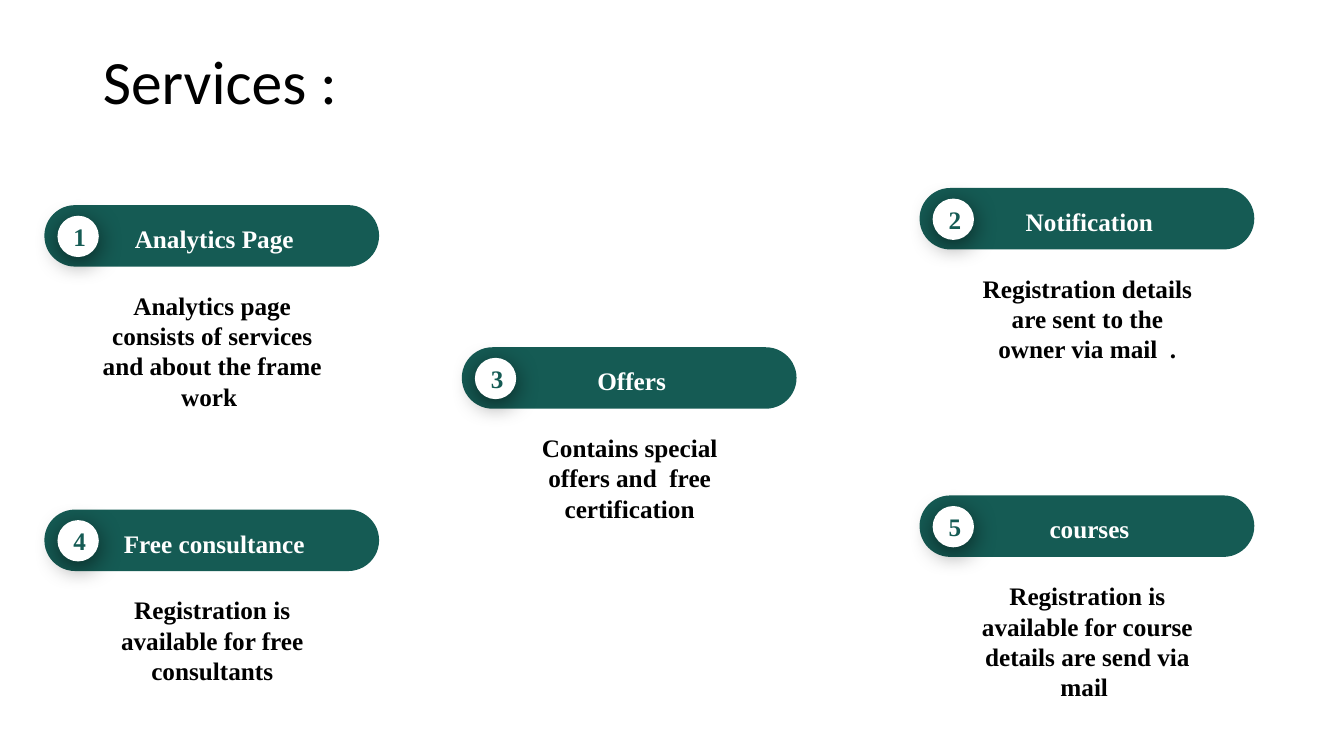
from lxml import etree
from pptx import Presentation
from pptx import util as u
from pptx.dml.color import RGBColor
from pptx.enum import shapes, text
from pptx.oxml import ns

TEAL = RGBColor(0x15, 0x5B, 0x54)
WHITE = RGBColor(0xFF, 0xFF, 0xFF)
BLACK = RGBColor(0x00, 0x00, 0x00)

# Number, heading, body and centre of each pill
CARDS = [
    ("1", "Analytics Page", "Analytics page consists of services and about the frame work ", 2.1, 2.34),
    ("4", "Free consultance", "Registration is available for free consultants", 2.1, 5.36),
    ("2", "Notification", "Registration details are sent to the owner via mail  .", 10.78, 2.17),
    ("5", "courses", "Registration is available for course details are send via mail ", 10.78, 5.22),
    ("3", "Offers", "Contains special offers and  free certification", 6.24, 3.75),
]


class Deck:
    head = "Calibri"
    font = "Times New Roman"
    size = u.Pt(18)
    pad = u.Inches(0.1)

    def __init__(self):
        self.prs = Presentation()
        self.prs.slide_width = u.Inches(13.33)
        self.prs.slide_height = u.Inches(7.5)
        self.slide = self.prs.slides.add_slide(self.prs.slide_layouts[5])

    def add_run(self, para, words, font, size, color, bold):
        run = para.add_run()
        run.text = words
        run.font.name, run.font.size, run.font.bold = font, size, bold
        run.font.color.rgb = color

    def title(self, words, x, y, w, h):
        box = self.slide.shapes.title
        box.left, box.top, box.width, box.height = map(u.Inches, (x, y, w, h))
        frame = box.text_frame
        frame.auto_size = text.MSO_AUTO_SIZE.NONE
        frame.vertical_anchor = text.MSO_ANCHOR.MIDDLE
        para = frame.paragraphs[0]
        para.alignment = text.PP_ALIGN.LEFT
        para.line_spacing = 0.9
        self.add_run(para, words, self.head, u.Pt(44), BLACK, False)

    def words(self, shape, words, color, anchor=text.MSO_ANCHOR.MIDDLE):
        frame = shape.text_frame
        frame.word_wrap = True
        frame.vertical_anchor = anchor
        frame.margin_left = frame.margin_right = self.pad
        frame.margin_top = frame.margin_bottom = self.pad
        para = frame.paragraphs[0]
        para.alignment = text.PP_ALIGN.CENTER
        self.add_run(para, words, self.font, self.size, color, True)
        return para

    def shape(self, group, kind, x, y, w, h, fill):
        shape = group.shapes.add_shape(kind, *map(u.Inches, (x, y, w, h)))
        shape.shadow.inherit = False
        shape.fill.solid()
        shape.fill.fore_color.rgb = fill
        shape.line.fill.background()
        return shape

    def label(self, group, x, y, w, h):
        return group.shapes.add_textbox(*map(u.Inches, (x, y, w, h)))

    def shade(self, shape):
        effects = shape.element.spPr.find(ns.qn("a:effectLst"))
        outer = etree.SubElement(effects, ns.qn("a:outerShdw"), blurRad=str(u.Pt(18)),
                                 dist=str(u.Pt(4)), dir="5400000", algn="t", rotWithShape="0")
        color = etree.SubElement(outer, ns.qn("a:srgbClr"), val=str(BLACK))
        etree.SubElement(color, ns.qn("a:alpha"), val="55000")

    def card(self, number, heading, body, x, y):
        group = self.slide.shapes.add_group_shape()
        # Upright bar turned on its side
        pill = self.shape(group, shapes.MSO_SHAPE.ROUNDED_RECTANGLE,
                          x - 0.305, y - 1.66, 0.61, 3.32, TEAL)
        pill.adjustments[0] = 0.5
        pill.rotation = 90
        # Number disc
        disc = self.shape(group, shapes.MSO_SHAPE.OVAL, x - 1.53, y - 0.2, 0.41, 0.41, WHITE)
        self.shade(disc)
        self.words(disc, number, TEAL)
        # Heading and body
        name = self.label(group, x - 1.25, y - 0.21, 2.55, 0.43)
        self.words(name, heading, WHITE).line_spacing = 1.15
        note = self.label(group, x - 1.2, y + 0.44, 2.41, 0.55)
        self.words(note, body, BLACK, text.MSO_ANCHOR.TOP).space_after = u.Pt(16)


def main():
    deck = Deck()
    deck.title("Services :", 0.92, 0.4, 11.5, 0.87)
    for card in CARDS:
        deck.card(*card)
    deck.prs.save("out.pptx")


if __name__ == "__main__":
    main()
